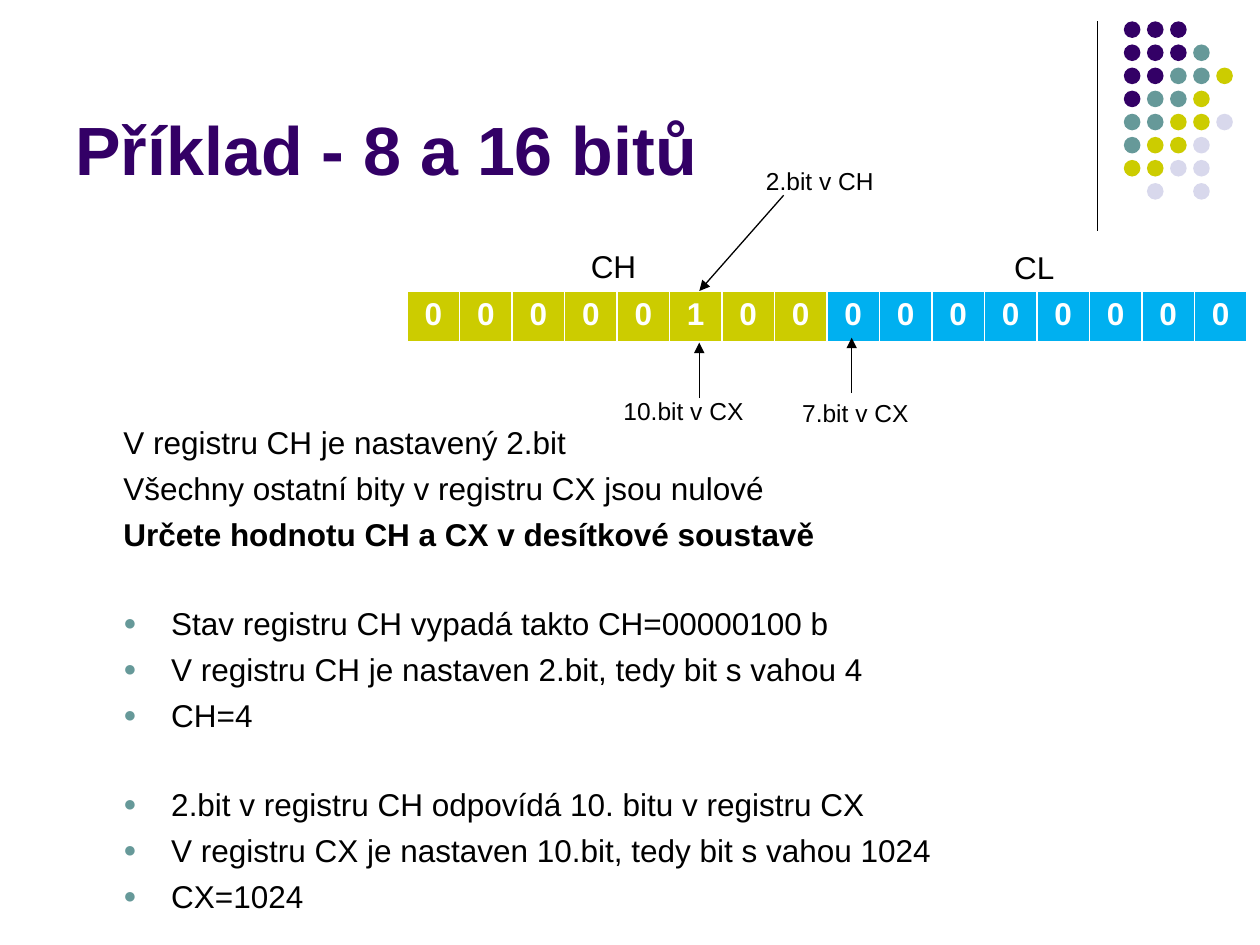
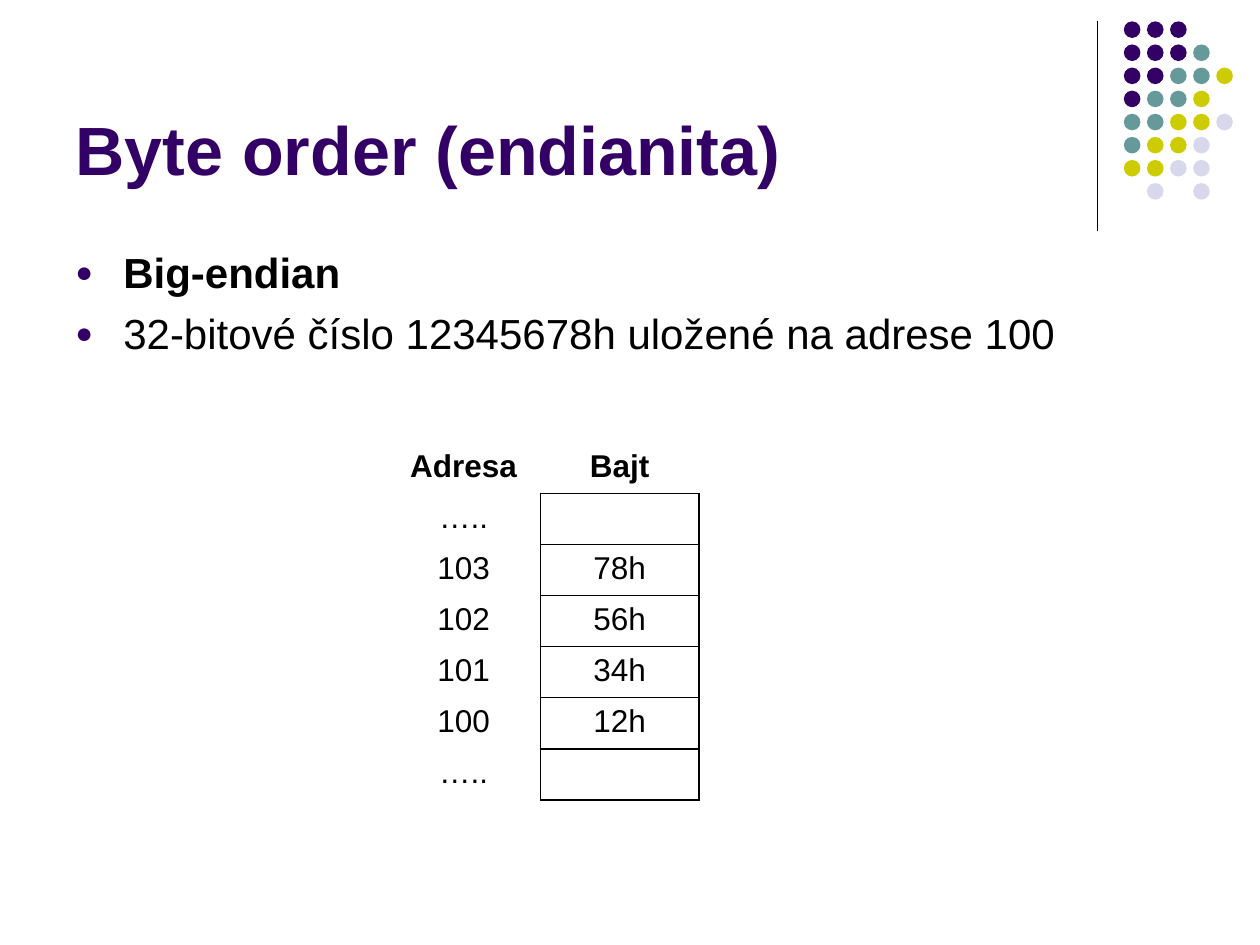
"""Build two slides on register bits and byte order."""
from dataclasses import dataclass

from lxml.etree import SubElement
from pptx import Presentation
from pptx.dml.color import RGBColor
from pptx.enum.shapes import MSO_CONNECTOR as Connector, MSO_SHAPE as Preset
from pptx.enum.text import MSO_ANCHOR as Anchor, PP_ALIGN as Align
from pptx.oxml.ns import qn
from pptx.util import Pt

FONT = "Arial"
COLOURS = {
    "purple": "330066", "teal": "669999", "lime": "CCCC00", "lilac": "D8D8EC",
    "blue": "00B0F0", "black": "000000", "white": "FFFFFF",
}
DOT_ROWS = ["PPP", "PPPT", "PPTTY", "PTTY", "TTYYL", "TYYL", "YYLL", " L L"]
DOT_COLOURS = {"P": "purple", "T": "teal", "Y": "lime", "L": "lilac"}
DOT_LEFT, DOT_TOP, DOT_PITCH, DOT_SIZE = 642.2, 12.2, 13.2, 9.5


@dataclass(frozen=True)
class Label:
    text: str
    left: float
    top: float
    width: float
    size: float


@dataclass(frozen=True)
class Arrow:
    start: tuple[float, float]
    end: tuple[float, float]


@dataclass(frozen=True)
class Line:
    text: str
    bold: bool = False
    bullet: str | None = None
    before: float = 0
    indent: float = 0


REGISTER_LABELS = [
    Label("CH", 330.5, 137.5, 48, 18),
    Label("CL", 572.4, 138.2, 48, 18),
    Label("2.bit v CH", 430.6, 91.4, 99.4, 14),
    Label("10.bit v CX", 349.2, 222.5, 124.6, 14),
    Label("7.bit v CX", 451.3, 223.9, 109, 14),
]
BIT_ARROWS = [
    Arrow((447.8, 111.6), (399.6, 166.3)),
    Arrow((399.6, 227.5), (399.6, 195.8)),
    Arrow((486.7, 224.6), (486.7, 193)),
]
STEP, GROUP_GAP = 4.5, 29.6
INDENT = 27.4
EXERCISE = [
    Line("V registru CH je nastavený 2.bit", indent=INDENT),
    Line("Všechny ostatní bity v registru CX jsou nulové", before=STEP, indent=INDENT),
    Line("Určete hodnotu CH a CX v desítkové soustavě", True, before=STEP, indent=INDENT),
    Line("Stav registru CH vypadá takto CH=00000100 b", False, "teal", GROUP_GAP, INDENT),
    Line("V registru CH je nastaven 2.bit, tedy bit s vahou 4", False, "teal", STEP, INDENT),
    Line("CH=4", False, "teal", STEP, INDENT),
    Line("2.bit v registru CH odpovídá 10. bitu v registru CX", False, "teal", GROUP_GAP, INDENT),
    Line("V registru CX je nastaven 10.bit, tedy bit s vahou 1024", False, "teal", STEP, INDENT),
    Line("CX=1024", False, "teal", STEP, INDENT),
]
BIG_ENDIAN = [
    Line("Big-endian", True, "purple"),
    Line("32-bitové číslo 12345678h uložené na adrese 100", False, "purple", 6),
]
REGISTER_BITS = "0000010000000000"
MEMORY = [
    ("Adresa", "Bajt"), ("…..", ""), ("103", "78h"), ("102", "56h"),
    ("101", "34h"), ("100", "12h"), ("…..", ""),
]


def rgb(colour: str) -> RGBColor:
    return RGBColor.from_string(COLOURS[colour])


def write(paragraph, text: str, *, size: float = 18, colour: str = "black",
          bold: bool = False, align=Align.LEFT, before: float = 0) -> None:
    paragraph.alignment = align
    paragraph.space_before = Pt(before)
    if text:
        run = paragraph.add_run()
        run.text = text
        run.font.name, run.font.size, run.font.bold = FONT, Pt(size), bold
        run.font.color.rgb = rgb(colour)


def add_frame(slide, left: float, top: float, width: float, height: float,
              anchor=Anchor.TOP):
    frame = slide.shapes.add_textbox(Pt(left), Pt(top), Pt(width), Pt(height)).text_frame
    frame.word_wrap = True
    frame.vertical_anchor = anchor
    return frame


def add_line(slide, start: tuple[float, float], end: tuple[float, float],
             arrow: bool = False) -> None:
    connector = slide.shapes.add_connector(
        Connector.STRAIGHT, *(Pt(value) for value in (*start, *end)))
    connector.line.color.rgb = rgb("black")
    connector.line.width = Pt(0.75)
    if arrow:
        SubElement(connector.line._get_or_add_ln(), qn("a:tailEnd"), type="triangle")
    SubElement(connector._element.spPr, qn("a:effectLst"))


def add_dots(slide) -> None:
    for row, pattern in enumerate(DOT_ROWS):
        for column, key in enumerate(pattern):
            if key == " ":
                continue
            dot = slide.shapes.add_shape(
                Preset.OVAL, Pt(DOT_LEFT + column * DOT_PITCH),
                Pt(DOT_TOP + row * DOT_PITCH), Pt(DOT_SIZE), Pt(DOT_SIZE))
            dot.shadow.inherit = False
            dot.fill.solid()
            dot.fill.fore_color.rgb = rgb(DOT_COLOURS[key])
            dot.line.fill.background()


def add_slide(deck, title: str):
    slide = deck.slides.add_slide(deck.slide_layouts[6])
    add_line(slide, (627.1, 12.2), (627.1, 131.8))
    add_dots(slide)
    heading = add_frame(slide, 36, 9.4, 594, 102.2, Anchor.BOTTOM)
    write(heading.paragraphs[0], title, size=39, colour="purple", bold=True)
    return slide


def add_body(slide, lines: list[Line], top: float, height: float, size: float) -> None:
    frame = add_frame(slide, 36, top, 648, height)
    for index, line in enumerate(lines):
        paragraph = frame.add_paragraph() if index else frame.paragraphs[0]
        write(paragraph, line.text, size=size, bold=line.bold, before=line.before)
        hanging = INDENT if line.bullet else 0
        properties = paragraph._p.get_or_add_pPr()
        properties.set("marL", str(Pt(line.indent + hanging)))
        properties.set("indent", str(-Pt(hanging)))
        if line.bullet:
            tint = SubElement(properties, qn("a:buClr"))
            SubElement(tint, qn("a:srgbClr"), val=COLOURS[line.bullet])
            SubElement(properties, qn("a:buSzPct"), val="70000")
            SubElement(properties, qn("a:buFont"), typeface=FONT)
            SubElement(properties, qn("a:buChar"), char="●")


def add_grid(slide, left: float, top: float, widths: list[float],
             row_height: float, rows: int):
    table = slide.shapes.add_table(
        rows, len(widths), Pt(left), Pt(top), Pt(sum(widths)), Pt(row_height * rows)).table
    table.first_row = table.horz_banding = False
    for column, width in zip(table.columns, widths):
        column.width = Pt(width)
    for row in table.rows:
        row.height = Pt(row_height)
    return table


def fill_cell(cell, text: str, fill: str, borders: dict[str, str], **style) -> None:
    properties = cell._tc.get_or_add_tcPr()
    for side in "LRTB":
        border = SubElement(properties, qn(f"a:ln{side}"), w=str(Pt(1)))
        solid = SubElement(border, qn("a:solidFill"))
        SubElement(solid, qn("a:srgbClr"), val=COLOURS[borders.get(side, "white")])
    cell.fill.solid()
    cell.fill.fore_color.rgb = rgb(fill)
    write(cell.text_frame.paragraphs[0], text, align=Align.CENTER, **style)


def build_register_slide(deck) -> None:
    slide = add_slide(deck, "Příklad - 8 a 16 bitů")
    add_body(slide, EXERCISE, 238.4, 282, 18)
    register = add_grid(slide, 232.6, 166.3, [30] * len(REGISTER_BITS), 29.2, 1)
    for index, bit in enumerate(REGISTER_BITS):
        byte_colour = "lime" if index < 8 else "blue"
        fill_cell(register.cell(0, index), bit, byte_colour, {}, colour="white", bold=True)
    for label in REGISTER_LABELS:
        frame = add_frame(slide, label.left, label.top, label.width, label.size * 1.15 + 7.2)
        write(frame.paragraphs[0], label.text, size=label.size)
    for arrow in BIT_ARROWS:
        add_line(slide, arrow.start, arrow.end, arrow=True)


def build_endian_slide(deck) -> None:
    slide = add_slide(deck, "Byte order (endianita)")
    add_body(slide, BIG_ENDIAN, 137.5, 347, 24)
    memory = add_grid(slide, 221, 252.7, [87.8, 90.7], 29.2, len(MEMORY))
    for row, (address, byte) in enumerate(MEMORY):
        header = row == 0
        address_borders = {} if header else {"R": "black"}
        byte_borders = {side: "black" for side in ("B" if header else "LRTB")}
        fill_cell(memory.cell(row, 0), address, "white", address_borders, bold=header)
        fill_cell(memory.cell(row, 1), byte, "white", byte_borders, bold=header)


def main() -> None:
    deck = Presentation()
    deck.slide_width, deck.slide_height = Pt(720), Pt(540)
    build_register_slide(deck)
    build_endian_slide(deck)
    deck.save("out.pptx")


if __name__ == "__main__":
    main()
